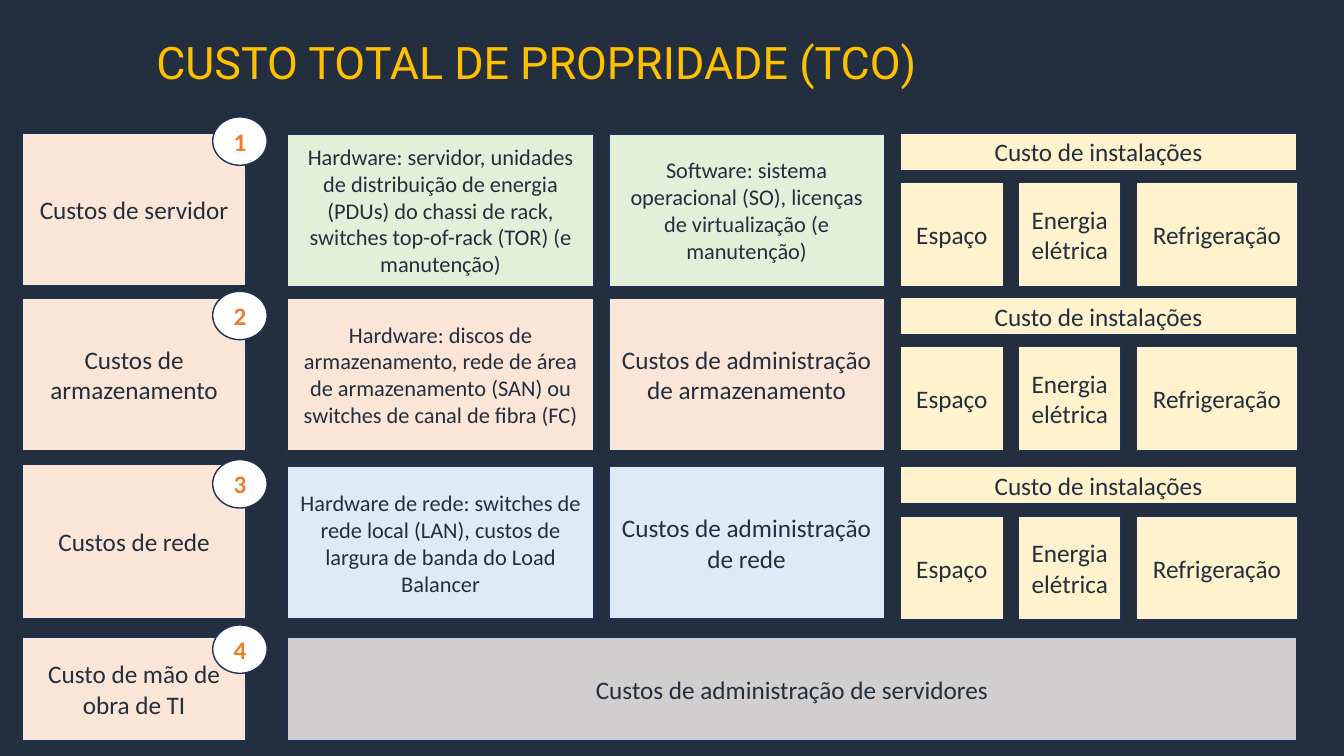
from pptx import Presentation
from pptx import util as u
from pptx.dml.color import RGBColor
from pptx.enum import shapes, text

NAVY, PEACH, GREEN, BLUE = "232F3E", "FBE5D6", "E2F0D9", "DEEBF7"
CREAM, GRAY, WHITE, ORANGE = "FFF2CC", "D0CECE", "FFFFFF", "ED7D31"
PROCESS = shapes.MSO_SHAPE.FLOWCHART_PROCESS
OVAL = shapes.MSO_SHAPE.OVAL


def color(value):
    return RGBColor.from_string(value)


def box(label, x, y, w, h, fill, size=18, ink=NAVY, bold=False, kind=PROCESS):
    sp = s.shapes.add_shape(kind, u.Inches(x), u.Inches(y), u.Inches(w), u.Inches(h))
    sp.shadow.inherit = False
    sp.fill.solid()
    sp.fill.fore_color.rgb = color(fill)
    sp.line.color.rgb = color("1E3256")
    sp.line.width = u.Pt(1)
    tf = sp.text_frame
    tf.word_wrap = True
    tf.vertical_anchor = text.MSO_ANCHOR.MIDDLE
    p = tf.paragraphs[0]
    p.alignment = text.PP_ALIGN.CENTER
    r = p.add_run()
    r.text = label
    r.font.name = "Calibri"
    r.font.size = u.Pt(size)
    r.font.bold = bold
    r.font.color.rgb = color(ink)


prs = Presentation()
prs.slide_width = u.Inches(13.33)
prs.slide_height = u.Inches(7.5)
s = prs.slides.add_slide(prs.slide_layouts[5])
s.background.fill.solid()
s.background.fill.fore_color.rgb = color(NAVY)

title = s.shapes.title
title.left, title.top = u.Inches(1.45), u.Inches(0.29)
title.width, title.height = u.Inches(10.53), u.Inches(0.64)
tf = title.text_frame
tf.word_wrap = True
tf.vertical_anchor = text.MSO_ANCHOR.TOP
p = tf.paragraphs[0]
p.alignment = text.PP_ALIGN.LEFT
r = p.add_run()
r.text = "CUSTO TOTAL DE PROPRIDADE (TCO)"
r.font.name = "Roboto"
r.font.size = u.Pt(32)
r.font.color.rgb = color("FFC000")

categories = [
    ("Custos de servidor", 1.32, 1.51),
    ("Custos de armazenamento", 2.96, 1.51),
    ("Custos de rede", 4.61, 1.53),
    ("Custo de mão de obra de TI", 6.32, 1.03),
]
for label, y, h in categories:
    box(label, 0.22, y, 2.22, h, PEACH)

details = [
    (1.33, GREEN,
     "Hardware: servidor, unidades de distribuição de energia (PDUs) do chassi de rack, "
     "switches top-of-rack (TOR) (e manutenção)",
     "Software: sistema operacional (SO), licenças de virtualização (e manutenção)", 16),
    (2.96, PEACH,
     "Hardware: discos de armazenamento, rede de área de armazenamento (SAN) ou "
     "switches de canal de fibra (FC)",
     "Custos de administração de armazenamento", 18),
    (4.63, BLUE,
     "Hardware de rede: switches de rede local (LAN), custos de largura de banda do "
     "Load Balancer",
     "Custos de administração de rede", 18),
]
for y, fill, hardware, other, size in details:
    box(hardware, 2.85, y, 3.04, 1.51, fill, size=16)
    box(other, 6.04, y, 2.73, 1.51, fill, size=size)

box("Custos de administração de servidores", 2.85, 6.32, 10.01, 1.03, GRAY)

facilities = [("Espaço", 8.93, 1.02), ("Energia elétrica", 10.1, 1.02), ("Refrigeração", 11.27, 1.6)]
for y in (1.32, 2.95, 4.63):
    box("Custo de instalações", 8.93, y, 3.93, 0.37, CREAM)
    for label, x, w in facilities:
        box(label, x, y + 0.49, w, 1.03, CREAM)

for number, y in enumerate((1.16, 2.89, 4.56, 6.2), 1):
    box(str(number), 2.11, y, 0.54, 0.48, WHITE, ink=ORANGE, bold=True, kind=OVAL)

prs.save("out.pptx")
